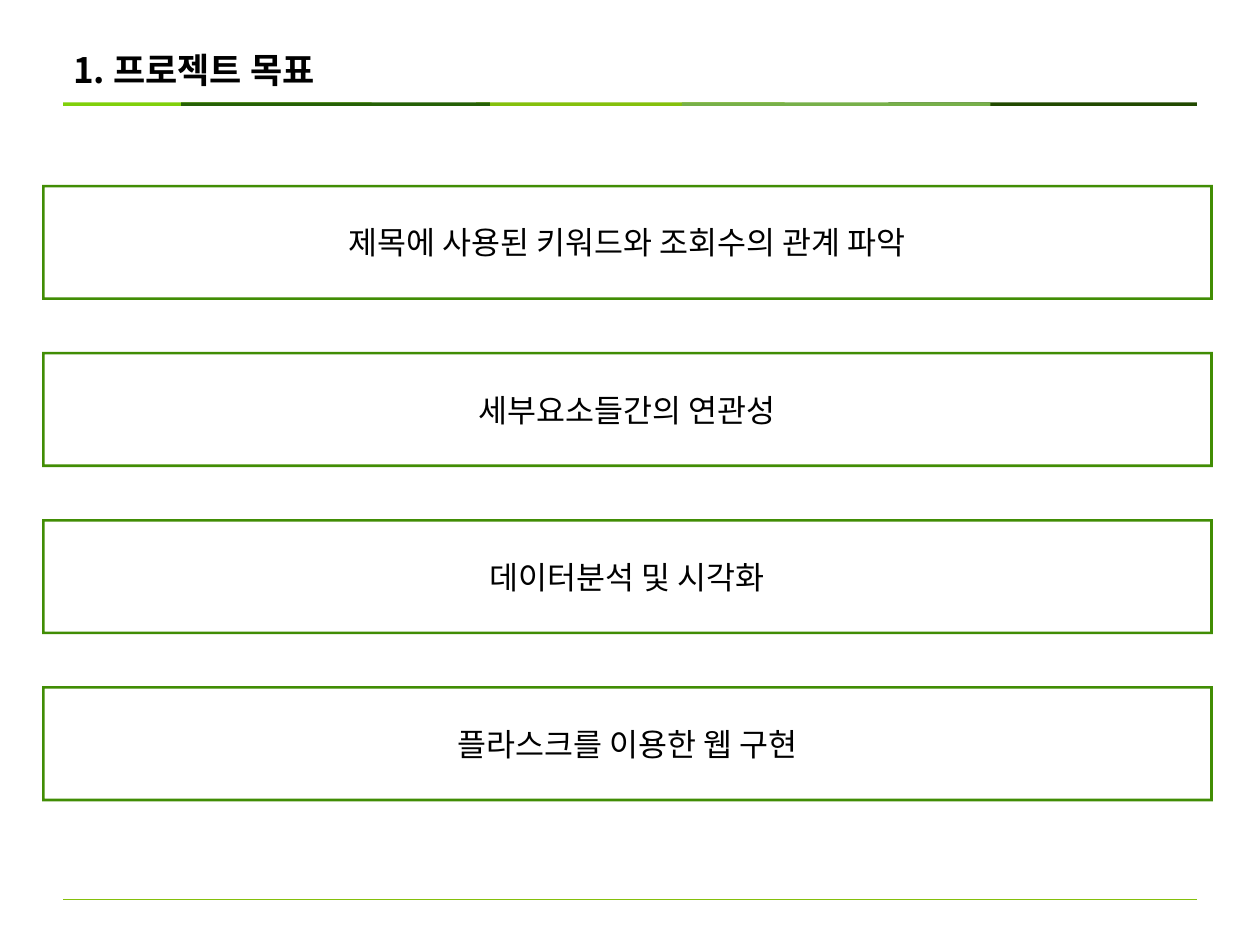
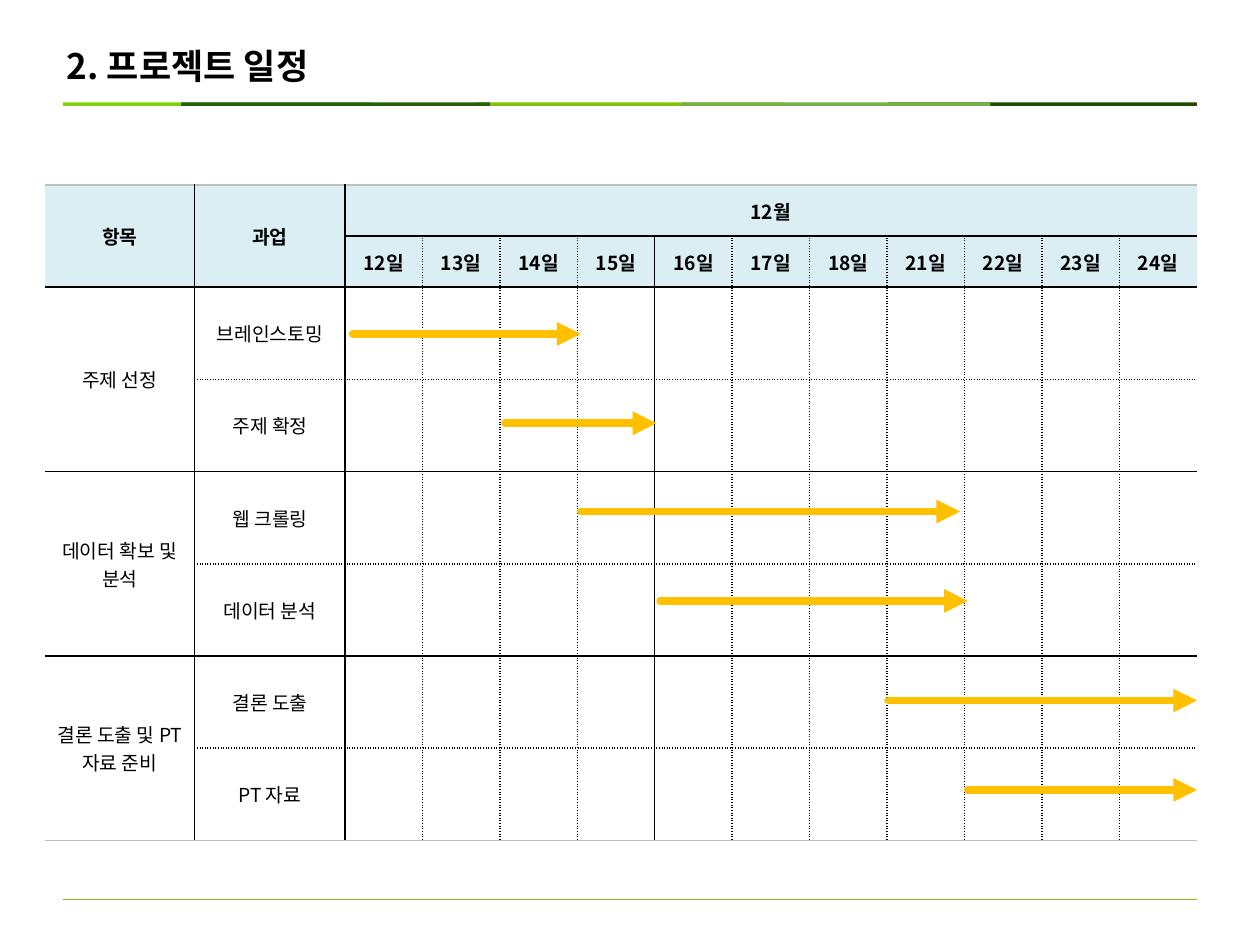
from pptx import Presentation
from pptx.dml.color import RGBColor
from pptx.enum.shapes import MSO_CONNECTOR, MSO_SHAPE
from pptx.enum.text import MSO_ANCHOR, MSO_AUTO_SIZE, PP_ALIGN
from pptx.oxml.ns import qn
from pptx.oxml.xmlchemy import OxmlElement
from pptx.util import Pt

FONT = "Noto Sans CJK KR"
COLORS = {
    "text": "000000", "grid": "000000", "outer": "BFBFBF", "header": "DBEEF4",
    "frame": "418D04", "arrow": "FFC000", "lime": "80D00A", "green": "85C00C",
    "deep": "214900", "soft": "77B049", "forest": "256006",
}
NO_STYLE = "{2D5ABB26-0587-4C30-8999-92F81FD0307C}"

BAND_WIDTH = 176.4
BANDS = [(36, "lime"), (272, "green"), (507.6, "deep"), (389.6, "soft"), (103.5, "forest")]

GOALS = [
    "제목에 사용된 키워드와 조회수의 관계 파악",
    "세부요소들간의 연관성",
    "데이터분석 및 시각화",
    "플라스크를 이용한 웹 구현",
]
DAYS = [12, 13, 14, 15, 16, 17, 18, 21, 22, 23, 24]
PHASES = [
    ("주제 선정", "브레인스토밍", "주제 확정"),
    ("데이터 확보 및 분석", "웹 크롤링", "데이터 분석"),
    ("결론 도출 및 PT 자료 준비", "결론 도출", "PT 자료"),
]
TASK_ARROWS = [
    (201.6, 331.9, 190.8), (288.7, 375.1, 241.9), (331.9, 548.6, 292.3),
    (377.3, 553, 343.4), (507.6, 684, 400.3), (553, 684, 451.4),
]
COL_WIDTHS = [85.8] * 2 + [44.25] * len(DAYS)
ROW_HEIGHTS = [29, 29.3] + [52.7] * 6
DOTTED = ("grid", 1, "sysDot")
SOLID = ("grid", 1, "solid")
THIN = ("grid", 0.75, "solid")
OUTER = ("outer", 1, "solid")


def horizontal_edge(row, col):
    """Return the line above a row at a column, or None."""
    if row in (0, len(ROW_HEIGHTS)):
        return OUTER
    if row == 1:
        return SOLID if col > 1 else None
    if row % 2 == 0:
        return SOLID
    return DOTTED if col else None


def vertical_edge(row, col):
    """Return the line left of a column at a row, or None."""
    if col in (0, len(COL_WIDTHS)) or (row == 0 and col > 2):
        return None
    return {1: THIN, 2: SOLID, 6: THIN}.get(col, DOTTED)


class Deck:
    """Hold the style and the current slide."""

    def __init__(self):
        """Create the presentation and its shared layout."""
        self.prs = Presentation()
        self.prs.slide_width, self.prs.slide_height = Pt(720), Pt(540)
        self.layout = self.prs.slide_layouts[5]
        self.slide = None

    def color(self, name):
        """Return a named colour."""
        return RGBColor.from_string(COLORS[name])

    def add_slide(self, title, left, top):
        """Start a slide with its title."""
        self.slide = self.prs.slides.add_slide(self.layout)
        if len(self.prs.slides) == 1:
            self.decorate_layout()
        sp = self.slide.shapes.title
        sp.left, sp.top, sp.width, sp.height = Pt(left), Pt(top), Pt(659), Pt(39)
        sp.text_frame.auto_size = MSO_AUTO_SIZE.NONE
        sp.text_frame.vertical_anchor = MSO_ANCHOR.MIDDLE
        self.set_text(sp.text_frame, title, 20, True, PP_ALIGN.LEFT)

    def decorate_layout(self):
        """Give the layout the coloured bands and the bottom line."""
        for sp in list(self.layout.placeholders)[1:]:
            sp.element.getparent().remove(sp.element)
        marks = [self.shape(MSO_SHAPE.RECTANGLE, left, 58.5, BAND_WIDTH, 2, name)
                 for left, name in BANDS]
        marks.append(self.line(36, 684, 514.2, "green", 0.75))
        for sp in marks:
            self.layout.shapes.element.append(sp.element)

    def set_text(self, tf, text, size, bold=False, align=PP_ALIGN.CENTER):
        """Set and format the text of a frame."""
        tf.text = text
        p = tf.paragraphs[0]
        p.alignment = align
        for r in p.runs:
            r.font.size, r.font.bold, r.font.name = Pt(size), bold, FONT
            r.font.color.rgb = self.color("text")
            ea = OxmlElement("a:ea")
            ea.set("typeface", FONT)
            r.font._element.append(ea)

    def shape(self, kind, left, top, width, height, fill):
        """Add a filled shape without outline."""
        sp = self.slide.shapes.add_shape(kind, Pt(left), Pt(top), Pt(width), Pt(height))
        sp.shadow.inherit = False
        sp.fill.solid()
        sp.fill.fore_color.rgb = self.color(fill)
        sp.line.fill.background()
        return sp

    def frame(self, text, top):
        """Add a framed statement."""
        sp = self.shape(MSO_SHAPE.FRAME, 24, top, 669, 65.8, "frame")
        sp.adjustments[0] = 0.022
        sp.text_frame.word_wrap = True
        sp.text_frame.vertical_anchor = MSO_ANCHOR.MIDDLE
        self.set_text(sp.text_frame, text, 18)

    def line(self, start, end, y, color, width):
        """Add a horizontal line."""
        c = self.slide.shapes.add_connector(
            MSO_CONNECTOR.STRAIGHT, Pt(start), Pt(y), Pt(end), Pt(y))
        c.line.color.rgb = self.color(color)
        c.line.width = Pt(width)
        c.element.spPr.append(OxmlElement("a:effectLst"))
        return c

    def arrow(self, start, end, y):
        """Add a round-capped task arrow."""
        ln = self.line(start, end, y, "arrow", 4.5).element.spPr.find(qn("a:ln"))
        ln.set("cap", "rnd")
        tail = OxmlElement("a:tailEnd")
        tail.set("type", "triangle")
        ln.append(tail)

    def border(self, cell, side, edge):
        """Draw one side of a cell."""
        ln = OxmlElement(f"a:ln{side}")
        cell._tc.get_or_add_tcPr().append(ln)
        if edge is None:
            ln.append(OxmlElement("a:noFill"))
            return
        color, width, dash = edge
        ln.set("w", str(Pt(width)))
        fill, rgb, preset = (OxmlElement(t) for t in ("a:solidFill", "a:srgbClr", "a:prstDash"))
        rgb.set("val", COLORS[color])
        preset.set("val", dash)
        fill.append(rgb)
        ln.extend([fill, preset])

    def style_cell(self, cell, row, col):
        """Set the borders, margins and fill of a cell."""
        height = cell.span_height if cell.is_merge_origin else 1
        width = cell.span_width if cell.is_merge_origin else 1
        self.border(cell, "L", vertical_edge(row, col))
        self.border(cell, "R", vertical_edge(row, col + width))
        self.border(cell, "T", horizontal_edge(row, col))
        self.border(cell, "B", horizontal_edge(row + height, col))
        cell.margin_left = cell.margin_right = Pt(5)
        cell.margin_top = cell.margin_bottom = Pt(3)
        cell.vertical_anchor = MSO_ANCHOR.MIDDLE
        if row < 2:
            cell.fill.solid()
            cell.fill.fore_color.rgb = self.color("header")
        else:
            cell.fill.background()

    def schedule(self, left, top):
        """Add the schedule table."""
        shape = self.slide.shapes.add_table(
            len(ROW_HEIGHTS), len(COL_WIDTHS), Pt(left), Pt(top),
            Pt(sum(COL_WIDTHS)), Pt(sum(ROW_HEIGHTS)))
        shape.element.xpath(".//a:tableStyleId")[0].text = NO_STYLE
        table = shape.table
        table.first_row = table.horz_banding = False
        for column, width in zip(table.columns, COL_WIDTHS):
            column.width = Pt(width)
        for row, height in zip(table.rows, ROW_HEIGHTS):
            row.height = Pt(height)

        texts = {(0, 0): "항목", (0, 1): "과업", (0, 2): "12월"}
        texts.update({(1, c): f"{day}일" for c, day in enumerate(DAYS, 2)})
        table.cell(0, 1).merge(table.cell(1, 1))
        table.cell(0, 2).merge(table.cell(0, len(COL_WIDTHS) - 1))
        for r in range(0, len(ROW_HEIGHTS), 2):
            table.cell(r, 0).merge(table.cell(r + 1, 0))
        for i, (phase, first, second) in enumerate(PHASES):
            r = 2 + 2 * i
            texts.update({(r, 0): phase, (r, 1): first, (r + 1, 1): second})

        for r in range(len(ROW_HEIGHTS)):
            for c in range(len(COL_WIDTHS)):
                self.style_cell(table.cell(r, c), r, c)
        for (r, c), text in texts.items():
            self.set_text(table.cell(r, c).text_frame, text, 11, r < 2)


def main():
    """Build the goal and schedule slides."""
    deck = Deck()
    deck.add_slide("1. 프로젝트 목표", 34.6, 20.2)
    for i, goal in enumerate(GOALS):
        deck.frame(goal, 105.6 + 95.5 * i)

    deck.add_slide("2. 프로젝트 일정", 31, 18)
    deck.schedule(25.6, 105.8)
    for start, end, y in TASK_ARROWS:
        deck.arrow(start, end, y)
    deck.prs.save("out.pptx")


if __name__ == "__main__":
    main()
